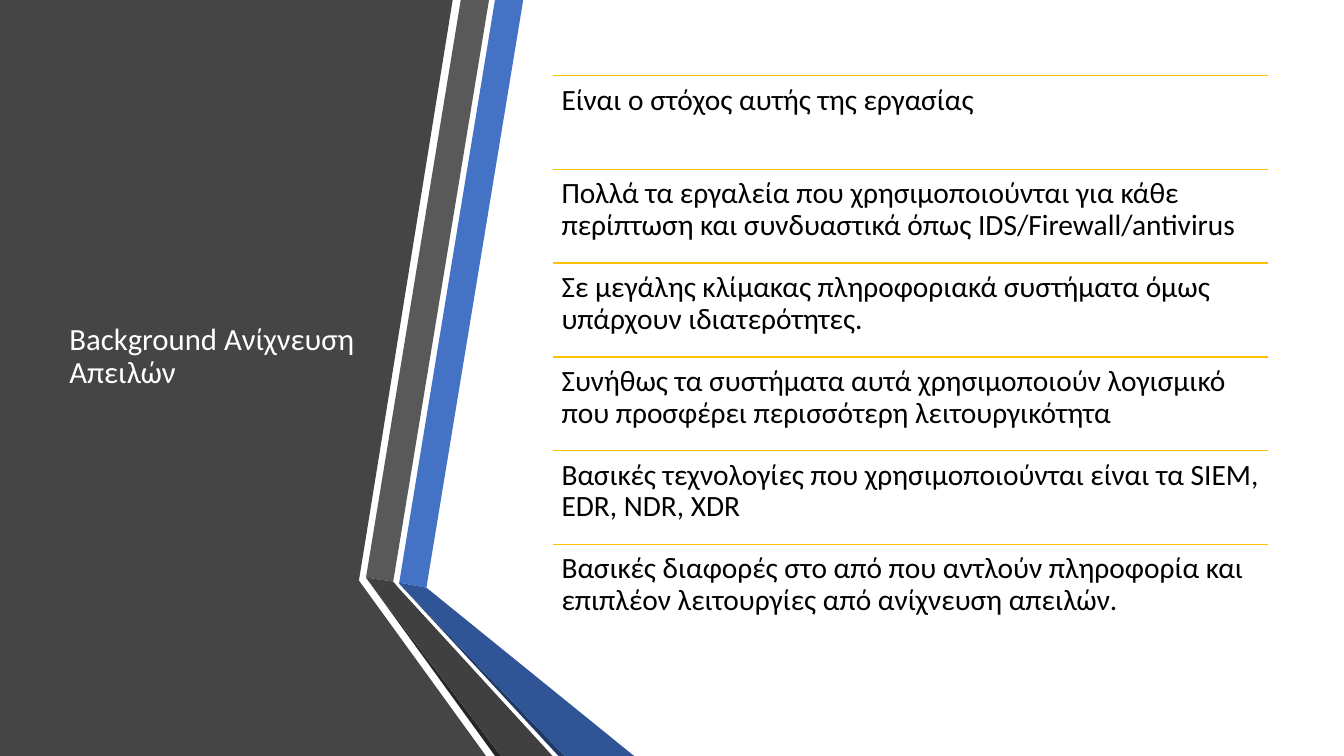
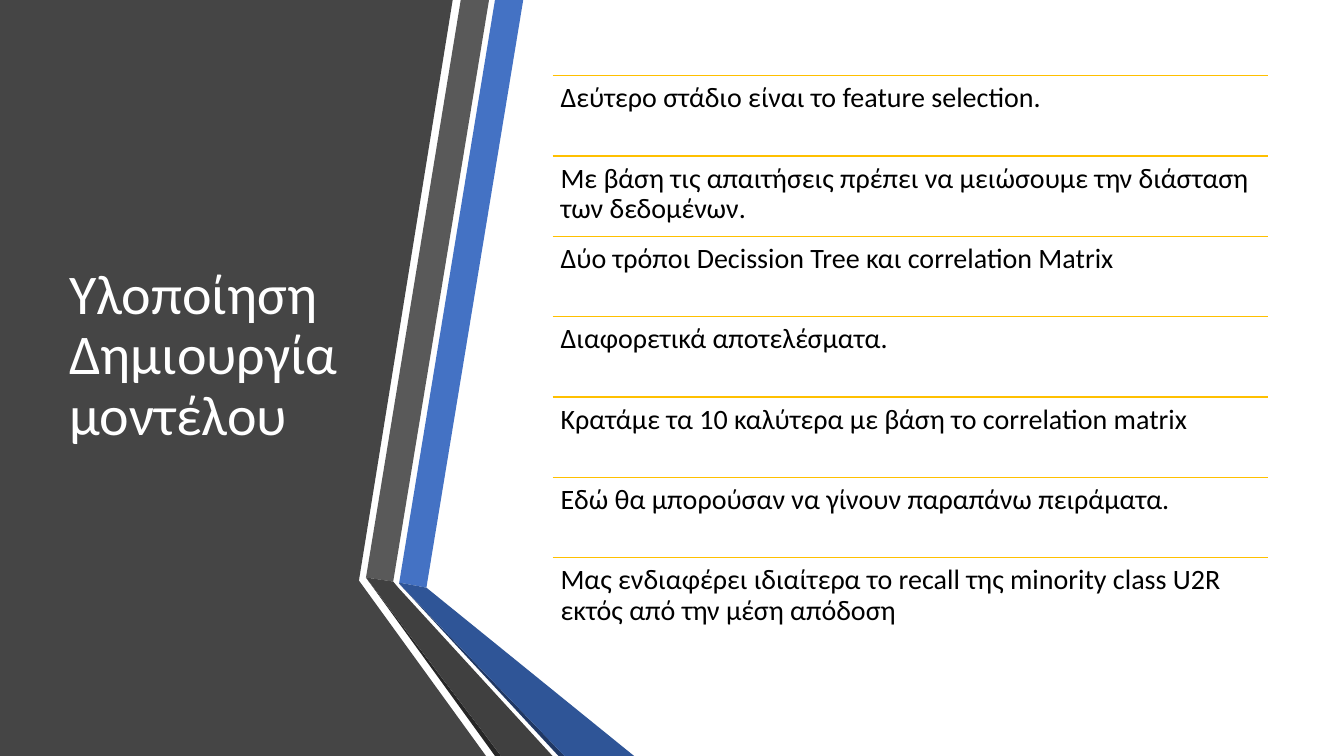
from lxml.etree import SubElement
from pptx import Presentation
from pptx.dml.color import RGBColor
from pptx.enum.shapes import MSO_CONNECTOR
from pptx.enum.text import MSO_ANCHOR
from pptx.oxml.ns import qn
from pptx.util import Inches, Pt

WHITE = RGBColor(0xFF, 0xFF, 0xFF)
BLACK = RGBColor(0x00, 0x00, 0x00)
GOLD = RGBColor(0xFF, 0xC0, 0x00)
PANEL_GRAY = RGBColor(0x45, 0x45, 0x45)
BAND_GRAY = RGBColor(0x59, 0x59, 0x59)
FOLD_GRAY = RGBColor(0x40, 0x40, 0x40)
EDGE_GRAY = RGBColor(0x26, 0x26, 0x26)
BAND_BLUE = RGBColor(0x44, 0x72, 0xC4)
FOLD_BLUE = RGBColor(0x2F, 0x55, 0x97)
EDGE_BLUE = RGBColor(0x20, 0x38, 0x64)

FONT = "Calibri"
SLIDE_WIDTH, SLIDE_HEIGHT = 13.33, 7.5
CONTENT_TOP, CONTENT_HEIGHT = 0.75, 5.58
TITLE_LEFT, TITLE_WIDTH = 0.59, 3.04
LIST_LEFT, LIST_WIDTH = 5.48, 7.1

BANDS = [
    (PANEL_GRAY, [(0, 0), (4.49, 0), (3.56, 5.76), (4.82, 7.5), (0, 7.5)]),
    (BAND_BLUE, [(3.96, 5.78), (4.23, 5.83), (5.19, 0), (4.91, 0)]),
    (BAND_GRAY, [(4.85, 0), (4.57, 0), (3.63, 5.73), (3.9, 5.77)]),
    (EDGE_GRAY, [(3.63, 5.73), (4.91, 7.5), (4.97, 7.5)]),
    (EDGE_BLUE, [(3.96, 5.79), (5.54, 7.5), (5.6, 7.5)]),
    (FOLD_BLUE, [(3.96, 5.79), (5.6, 7.5), (6.29, 7.5), (4.23, 5.83), (3.96, 5.78)]),
    (FOLD_GRAY, [(5.48, 7.5), (3.95, 5.83), (3.9, 5.77), (3.63, 5.73), (4.97, 7.5)]),
]

SLIDES = [
    {
        "title": "Background Ανίχνευση Απειλών",
        "title_size": 22,
        "item_size": 21,
        "inset": 0.09,
        "items": [
            "Είναι ο στόχος αυτής της εργασίας",
            "Πολλά τα εργαλεία που χρησιμοποιούνται για κάθε περίπτωση και συνδυαστικά όπως IDS/Firewall/antivirus",
            "Σε μεγάλης κλίμακας πληροφοριακά συστήματα όμως υπάρχουν ιδιατερότητες.",
            "Συνήθως τα συστήματα αυτά χρησιμοποιούν λογισμικό που προσφέρει περισσότερη λειτουργικότητα",
            "Βασικές τεχνολογίες που χρησιμοποιούνται είναι τα SIEM, EDR, NDR, XDR",
            "Βασικές διαφορές στο από που αντλούν πληροφορία και επιπλέον λειτουργίες από ανίχνευση απειλών.",
        ],
    },
    {
        "title": "Υλοποίηση Δημιουργία μοντέλου",
        "title_size": 40,
        "item_size": 20,
        "inset": 0.08,
        "items": [
            "Δεύτερο στάδιο είναι το feature selection.",
            "Με βάση τις απαιτήσεις πρέπει να μειώσουμε την διάσταση των δεδομένων.",
            "Δύο τρόποι Decission Tree και correlation Matrix",
            "Διαφορετικά αποτελέσματα.",
            "Κρατάμε τα 10 καλύτερα με βάση το correlation matrix",
            "Εδώ θα μπορούσαν να γίνουν παραπάνω πειράματα.",
            "Μας ενδιαφέρει ιδιαίτερα το recall της minority class U2R εκτός από την μέση απόδοση",
        ],
    },
]


def set_attributes(target, values):
    for name, value in values.items():
        setattr(target, name, value)


def add_band(slide, color, points):
    start, *others = [(Inches(x), Inches(y)) for x, y in points]
    builder = slide.shapes.build_freeform(*start)
    builder.add_line_segments(others, close=True)
    shape = builder.convert_to_shape()
    shape.shadow.inherit = False
    shape.fill.solid()
    shape.fill.fore_color.rgb = color
    shape.line.fill.background()


def add_text(slide, text, box, size, color, frame_format):
    shape = slide.shapes.add_textbox(*[Inches(length) for length in box])
    frame = shape.text_frame
    set_attributes(frame, {"word_wrap": True, **frame_format})
    paragraph = frame.paragraphs[0]
    paragraph.text = text
    paragraph.line_spacing = 0.9
    set_attributes(paragraph.font, {"name": FONT, "size": Pt(size)})
    paragraph.font.color.rgb = color


def add_rule(slide, top):
    connector = slide.shapes.add_connector(
        MSO_CONNECTOR.STRAIGHT,
        Inches(LIST_LEFT), Inches(top),
        Inches(LIST_LEFT + LIST_WIDTH), Inches(top),
    )
    connector.line.color.rgb = GOLD
    connector.line.width = Pt(1)
    SubElement(connector._element.spPr, qn("a:effectLst"))


def add_ruled_list(slide, items, size, inset):
    row_height = CONTENT_HEIGHT / len(items)
    sides = ("left", "top", "right", "bottom")
    frame_format = {f"margin_{side}": Inches(inset) for side in sides}
    for index, item in enumerate(items):
        top = CONTENT_TOP + index * row_height
        add_rule(slide, top)
        box = (LIST_LEFT, top, LIST_WIDTH, row_height)
        add_text(slide, item, box, size, BLACK, frame_format)


def add_list_slide(presentation, content):
    slide = presentation.slides.add_slide(presentation.slide_layouts[6])
    for color, points in BANDS:
        add_band(slide, color, points)
    title_box = (TITLE_LEFT, CONTENT_TOP, TITLE_WIDTH, CONTENT_HEIGHT)
    add_text(slide, content["title"], title_box, content["title_size"], WHITE,
             {"vertical_anchor": MSO_ANCHOR.MIDDLE})
    add_ruled_list(slide, content["items"], content["item_size"], content["inset"])


def main():
    presentation = Presentation()
    presentation.slide_width = Inches(SLIDE_WIDTH)
    presentation.slide_height = Inches(SLIDE_HEIGHT)
    for content in SLIDES:
        add_list_slide(presentation, content)
    presentation.save("out.pptx")


if __name__ == "__main__":
    main()
